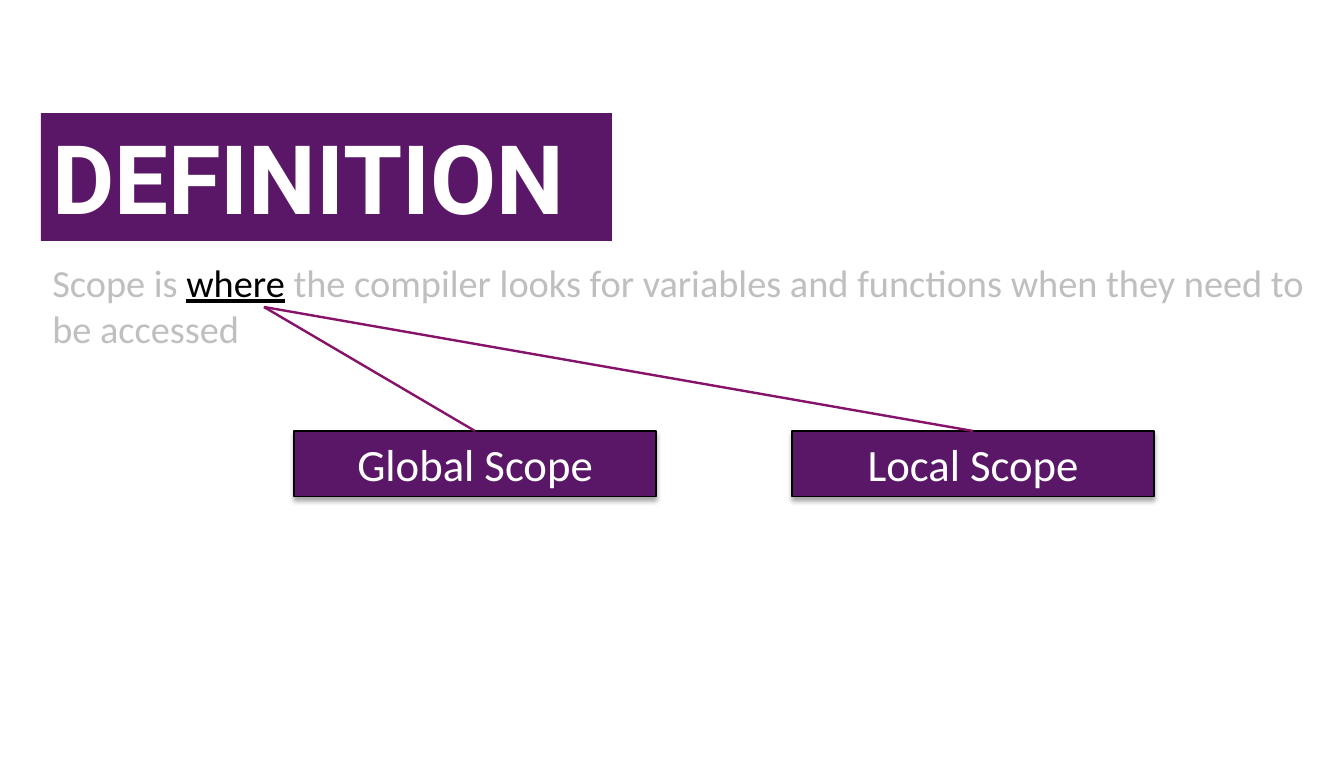
import pptx
import pptx.dml.color
import pptx.enum.shapes
import pptx.enum.text
import pptx.oxml
import pptx.oxml.ns
import pptx.util

PX = 914400 / 115
COLOURS = {
    "plum": "5B1767",
    "line": "86126A",
    "white": "FFFFFF",
    "black": "000000",
    "grey": "BFBFBF",
}
SHADOW = (
    '<a:outerShdw %s blurRad="39370" dist="22860" dir="5400000" rotWithShape="0">'
    '<a:srgbClr val="%s"><a:alpha val="35000"/></a:srgbClr></a:outerShdw>'
)


def px(length):
    return pptx.util.Emu(round(length * PX))


def colour(name):
    return pptx.dml.color.RGBColor.from_string(COLOURS[name])


def add_span(para, text, size=24, font="Calibri", ink="grey", bold=False, underline=False):
    span = para.add_run()
    span.text = text
    span.font.size = pptx.util.Pt(size)
    span.font.name = font
    span.font.color.rgb = colour(ink)
    span.font.bold = bold
    span.font.underline = underline


class ScopeSlide:
    def __init__(self, deck):
        self.page = deck.slides.add_slide(deck.slide_layouts[6])

    def prepare(self, shape, align):
        """Set up the text frame and return its first paragraph."""
        frame = shape.text_frame
        frame.word_wrap = True
        frame.vertical_anchor = pptx.enum.text.MSO_ANCHOR.TOP
        para = frame.paragraphs[0]
        para.alignment = align
        return para

    def text(self, left, top, width, height, spans):
        box = self.page.shapes.add_textbox(px(left), px(top), px(width), px(height))
        para = self.prepare(box, pptx.enum.text.PP_ALIGN.LEFT)
        for words, style in spans:
            add_span(para, words, **style)

    def block(self, left, top, width, height, text, centred=False, raised=False, **style):
        """Filled rectangle; a raised one has an outline and a shadow."""
        block = self.page.shapes.add_shape(
            pptx.enum.shapes.MSO_SHAPE.RECTANGLE, px(left), px(top), px(width), px(height))
        block.fill.solid()
        block.fill.fore_color.rgb = colour("plum")
        block.shadow.inherit = False
        if raised:
            block.line.color.rgb = colour("black")
            block.line.width = pptx.util.Pt(0.75)
            effects = block._element.spPr.find(pptx.oxml.ns.qn("a:effectLst"))
            effects.append(pptx.oxml.parse_xml(
                SHADOW % (pptx.oxml.ns.nsdecls("a"), COLOURS["black"])))
        else:
            block.line.fill.background()
        align = pptx.enum.text.PP_ALIGN
        para = self.prepare(block, align.CENTER if centred else align.LEFT)
        add_span(para, text, ink="white", **style)
        return block

    def link(self, left, top, target):
        """Line from a point to the middle of the target's top side."""
        line = self.page.shapes.add_connector(
            pptx.enum.shapes.MSO_CONNECTOR.STRAIGHT, px(left), px(top), px(left), px(top))
        line.end_connect(target, 0)
        line.line.color.rgb = colour("line")
        line.line.width = pptx.util.Pt(1.5)
        properties = line._element.spPr
        properties.append(properties.makeelement(pptx.oxml.ns.qn("a:effectLst"), {}))


def main():
    deck = pptx.Presentation()
    deck.slide_width = px(1344)
    deck.slide_height = px(757)
    slide = ScopeSlide(deck)

    slide.block(41, 113, 571, 128, "DEFINITION", size=60, font="Roboto", bold=True)
    slide.text(41, 253, 1288, 105, [
        ("Scope is ", {}),
        ("where", {"ink": "black", "underline": True}),
        (" the compiler looks for variables and functions when they need to be accessed", {}),
    ])
    for left, name in ((294, "Global Scope"), (792, "Local Scope")):
        scope = slide.block(left, 431, 362, 66, name, centred=True, raised=True, size=28)
        slide.link(264, 307, scope)

    deck.save("out.pptx")


if __name__ == "__main__":
    main()
